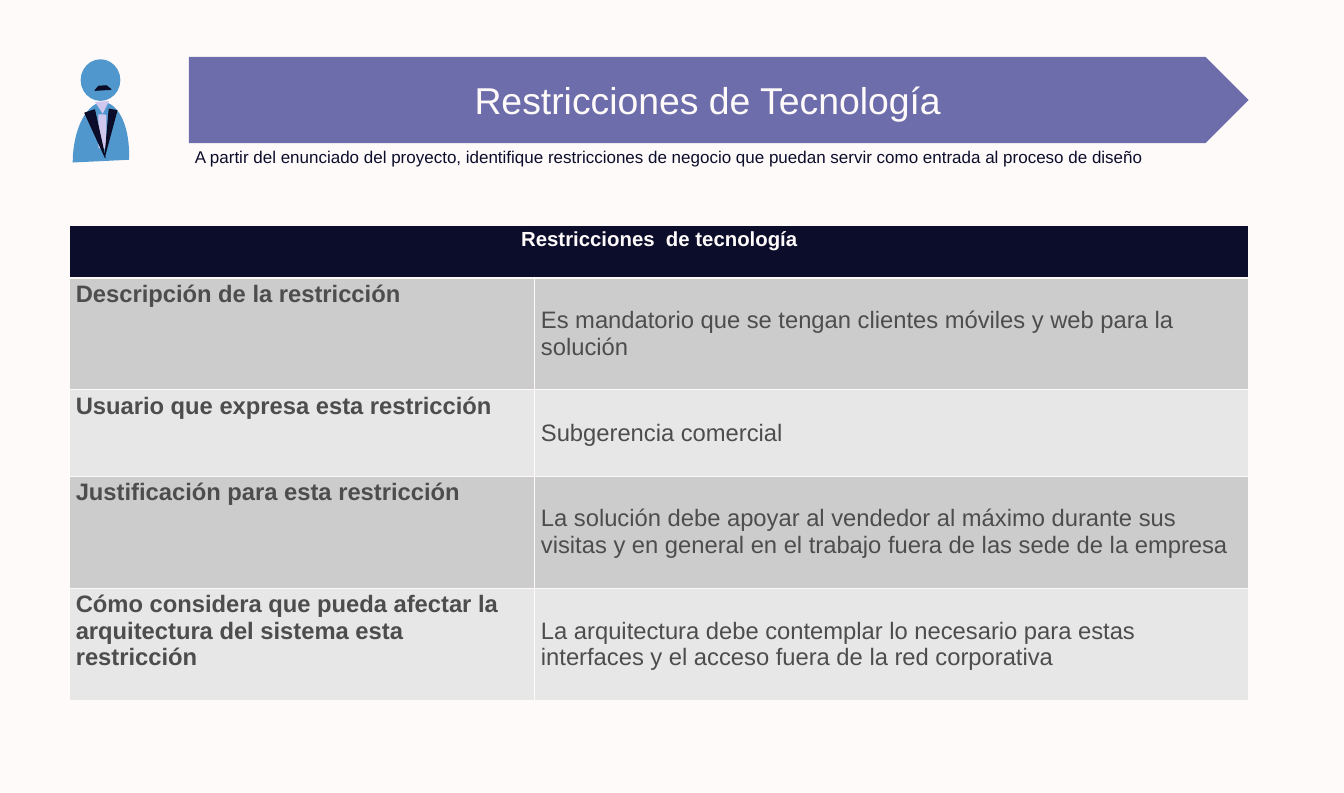
from dataclasses import dataclass

from lxml import etree
from pptx import Presentation
from pptx.dml.color import RGBColor
from pptx.enum import shapes, text
from pptx.oxml import ns
from pptx.util import Pt

SHAPE = shapes.MSO_SHAPE


@dataclass(frozen=True)
class Theme:
    font: str = "Arial"
    paper: str = "FEFAFA"
    navy: str = "0C0D2B"
    navy_line: str = "090A20"
    banner: str = "252884"
    skin: str = "5097CD"
    shirt: str = "D0C7EF"
    body: str = "4C4D4C"
    bands: tuple = ("CCCCCD", "E7E7E8")
    title_size: int = 44
    body_size: int = 28
    header_size: int = 24
    note_size: int = 20


class SlideBuilder:
    def __init__(self, slide, theme):
        self.slide = slide
        self.theme = theme
        slide.background.fill.solid()
        slide.background.fill.fore_color.rgb = RGBColor.from_string(theme.paper)

    def set_text(self, frame, wording, size, color, bold=False, align=text.PP_ALIGN.LEFT):
        frame.word_wrap = True
        paragraph = frame.paragraphs[0]
        paragraph.text = wording
        paragraph.alignment = align
        paragraph.font.name = self.theme.font
        paragraph.font.size = Pt(size)
        paragraph.font.bold = bold
        paragraph.font.color.rgb = RGBColor.from_string(color)

    def shape(self, kind, box, fill, rotation=0, line=None, alpha=None, parent=None):
        shape = (parent or self.slide).shapes.add_shape(kind, *map(Pt, box))
        shape.shadow.inherit = False
        shape.rotation = rotation
        shape.fill.solid()
        shape.fill.fore_color.rgb = RGBColor.from_string(fill)
        if alpha is not None:
            color = shape._element.spPr.find(".//" + ns.qn("a:srgbClr"))
            etree.SubElement(color, ns.qn("a:alpha"), val=str(alpha * 1000))
        if line:
            shape.line.color.rgb = RGBColor.from_string(line)
            shape.line.width = Pt(1)
        else:
            shape.line.fill.background()
        return shape

    def text_box(self, box, wording, size, color):
        shape = self.slide.shapes.add_textbox(*map(Pt, box))
        self.set_text(shape.text_frame, wording, size, color)

    def table(self, left, top, widths, heights):
        table = self.slide.shapes.add_table(
            len(heights), len(widths), Pt(left), Pt(top), Pt(sum(widths)), Pt(sum(heights))
        ).table
        for column, width in zip(table.columns, widths):
            column.width = Pt(width)
        for row, height in zip(table.rows, heights):
            row.height = Pt(height)
        return table

    def cell(self, cell, fill, bottom=1):
        properties = cell._tc.get_or_add_tcPr()
        for side, width in (("L", 1), ("R", 1), ("T", 1), ("B", bottom)):
            border = etree.SubElement(properties, ns.qn(f"a:ln{side}"), w=str(Pt(width)))
            solid = etree.SubElement(border, ns.qn("a:solidFill"))
            etree.SubElement(solid, ns.qn("a:srgbClr"), val=self.theme.paper)
        cell.fill.solid()
        cell.fill.fore_color.rgb = RGBColor.from_string(fill)


def draw_person(builder):
    theme = builder.theme
    person = builder.slide.shapes.add_group_shape()

    def part(kind, box, fill, rotation=0, line=None):
        return builder.shape(kind, box, fill, rotation, line, parent=person)

    # Head and shoulders
    part(SHAPE.OVAL, (95, 69.8, 46.8, 49), theme.skin)
    shoulders = part(SHAPE.CHORD, (52.6, 153.4, 132.5, 66.2), theme.skin, 92.9)
    shoulders.adjustments[0] = 47.22
    shoulders.adjustments[1] = 162
    # Collar and tie
    part(SHAPE.ISOSCELES_TRIANGLE, (112.3, 119.5, 16.6, 14.4), theme.shirt, 176.4)
    part(SHAPE.SNIP_2_DIAG_RECTANGLE, (115.9, 134.6, 9.4, 40.3), theme.shirt)
    # Lapels and moustache
    for kind, box, rotation in (
        (SHAPE.ISOSCELES_TRIANGLE, (108.7, 129.6, 12.2, 57.6), 161.4),
        (SHAPE.ISOSCELES_TRIANGLE, (123.8, 128.9, 9.4, 54), 190),
        (SHAPE.DIAGONAL_STRIPE, (114.5, 99.4, 13.7, 13), 40.4),
    ):
        part(kind, box, theme.navy, rotation, theme.navy_line)


def draw_restrictions(builder):
    theme = builder.theme
    restrictions = (
        ("Descripción de la restricción",
         "Es mandatorio que se tengan clientes móviles y web para la solución"),
        ("Usuario que expresa esta restricción",
         "Subgerencia comercial"),
        ("Justificación para esta restricción",
         "La solución debe apoyar al vendedor al máximo durante sus visitas y en general "
         "en el trabajo fuera de las sede de la empresa"),
        ("Cómo considera que pueda afectar la arquitectura del sistema esta restricción",
         "La arquitectura debe contemplar lo necesario para estas interfaces y el acceso "
         "fuera de la red corporativa"),
    )
    table = builder.table(82.1, 265, (548, 841), (62, 132, 101.4, 132, 132))

    # Header across both columns
    header = table.cell(0, 0)
    header.merge(table.cell(0, 1))
    for column in range(2):
        builder.cell(table.cell(0, column), theme.navy, bottom=3)
    builder.set_text(header.text_frame, "Restricciones  de tecnología", theme.header_size,
                     theme.paper, bold=True, align=text.PP_ALIGN.CENTER)

    # Questions on the left, answers on the right
    for row, pair in enumerate(restrictions, start=1):
        for column, wording in enumerate(pair):
            cell = table.cell(row, column)
            builder.cell(cell, theme.bands[(row - 1) % 2])
            builder.set_text(cell.text_frame, wording, theme.body_size, theme.body,
                             bold=column == 0)
        cell.vertical_anchor = text.MSO_ANCHOR.MIDDLE


def main():
    presentation = Presentation()
    presentation.slide_width = Pt(1583.3)
    presentation.slide_height = Pt(933.8)
    theme = Theme()
    slide = presentation.slides.add_slide(presentation.slide_layouts[6])
    builder = SlideBuilder(slide, theme)

    draw_person(builder)
    draw_restrictions(builder)

    # Title banner and instruction
    banner = builder.shape(SHAPE.PENTAGON, (222.5, 67, 1248.5, 101.5), theme.banner, alpha=67)
    banner.text_frame.vertical_anchor = text.MSO_ANCHOR.MIDDLE
    builder.set_text(banner.text_frame, "Restricciones de Tecnología", theme.title_size,
                     theme.paper, align=text.PP_ALIGN.CENTER)
    builder.text_box(
        (222.5, 168.5, 1244, 31.7),
        "A partir del enunciado del proyecto, identifique restricciones de negocio "
        "que puedan servir como entrada al proceso de diseño",
        theme.note_size, theme.navy)

    presentation.save("out.pptx")


if __name__ == "__main__":
    main()
